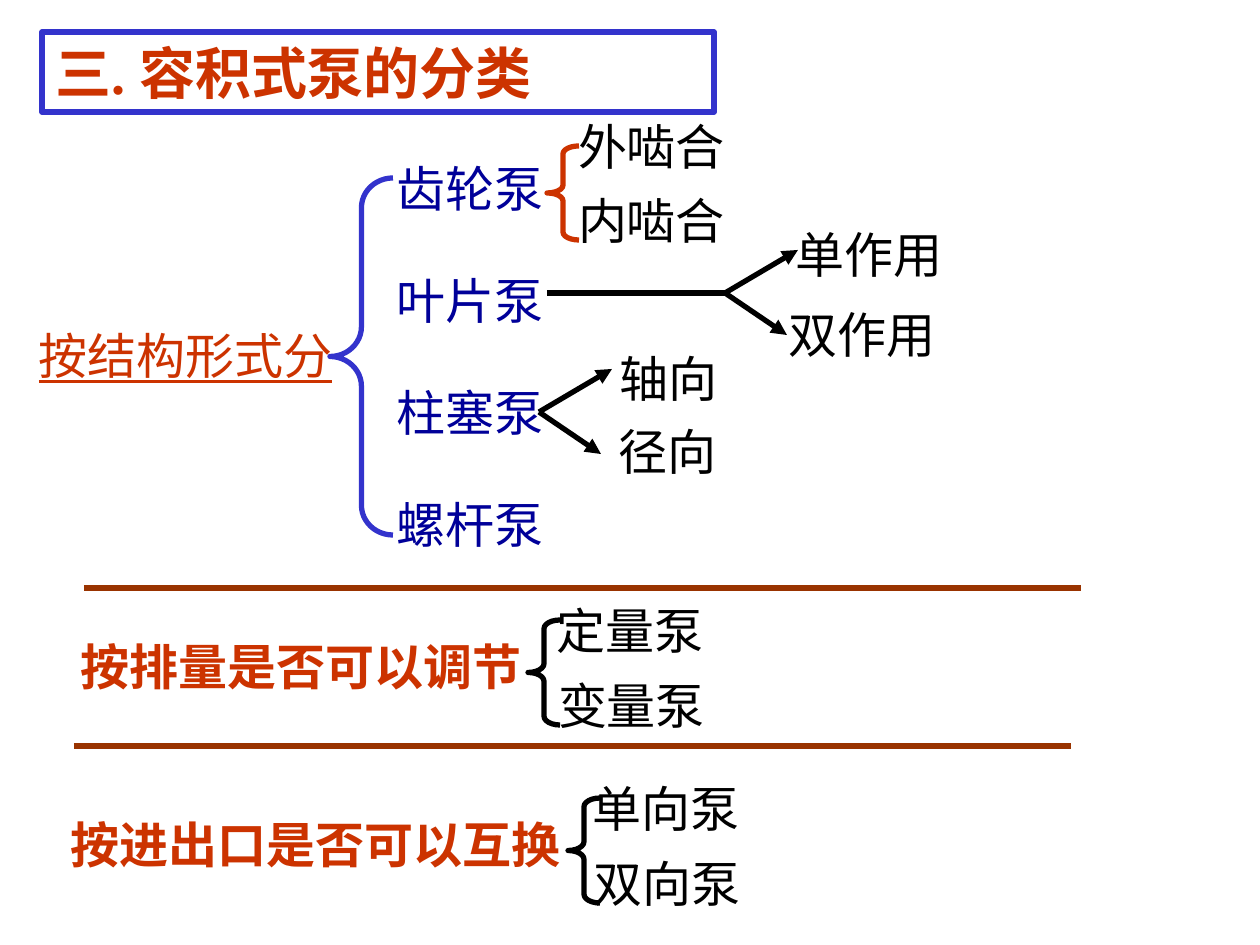
from dataclasses import dataclass

from lxml import etree
from pptx import Presentation
from pptx import util as u
from pptx.dml.color import RGBColor
from pptx.enum import shapes, text
from pptx.oxml.ns import qn

SCALE = 914400 / 126  # EMU in one px
CHAR_W, LINE_H = 49, 59  # one 28 pt character, one line


@dataclass(frozen=True)
class Theme:
    red: str = "CC3300"
    blue: str = "3333CC"
    navy: str = "000099"
    black: str = "000000"
    brown: str = "993300"
    title: int = 32
    body: int = 28
    line: int = 3
    latin: str = "Times New Roman"
    cjk: str = "Noto Sans CJK SC"


T = Theme()


def px(*values):
    return [u.Emu(round(v * SCALE)) for v in values]


def rgb(color):
    return RGBColor.from_string(color)


def write(sp, content, size=T.body, color=T.black, font=T.cjk,
          bold=False, underline=False, margins=(0, 0)):
    tf = sp.text_frame
    tf.word_wrap = False
    tf.auto_size = text.MSO_AUTO_SIZE.NONE
    tf.vertical_anchor = text.MSO_ANCHOR.MIDDLE
    tf.margin_left = tf.margin_right = px(margins[0])[0]
    tf.margin_top = tf.margin_bottom = px(margins[1])[0]
    p = tf.paragraphs[0]
    p.alignment = text.PP_ALIGN.LEFT
    r = p.add_run()
    r.text = content
    r.font.size, r.font.name = u.Pt(size), font
    r.font.bold, r.font.underline = bold, underline
    r.font.color.rgb = rgb(color)
    ea = etree.Element(qn("a:ea"), typeface=T.cjk)
    r.font._element.find(qn("a:latin")).addnext(ea)


def label(s, x, y, content, **fmt):
    box = px(x, y, CHAR_W * len(content), LINE_H)
    write(s.shapes.add_textbox(*box), content, **fmt)


def outline(s, kind, box, color):
    sp = s.shapes.add_shape(kind, *px(*box))
    sp.shadow.inherit = False
    sp.fill.background()
    sp.line.color.rgb = rgb(color)
    sp.line.width = u.Pt(T.line)
    return sp


def brace(s, x, y, w, h, color):
    """Left brace whose curves each take a twelfth of its height."""
    sp = outline(s, shapes.MSO_SHAPE.LEFT_BRACE, (x, y, w, h), color)
    sp.adjustments[0] = h / 12 / w


def line(s, x1, y1, x2, y2, color=T.black, arrow=False):
    c = s.shapes.add_connector(shapes.MSO_CONNECTOR.STRAIGHT, *px(x1, y1, x2, y2))
    c.line.color.rgb = rgb(color)
    c.line.width = u.Pt(T.line)
    if arrow:
        etree.SubElement(c.line._get_or_add_ln(), qn("a:tailEnd"), type="triangle")
    etree.SubElement(c._element.spPr, qn("a:effectLst"))


def fork(s, x, y, upper, lower):
    """Two arrows from one point; each branch is (label, dx, dy)."""
    for (dx, dy), (name, lx, ly) in zip(((73, -43), (62, 42)), (upper, lower)):
        line(s, x, y, x + dx, y + dy, arrow=True)
        label(s, x + lx, y + ly, name)


def title(s, box, content):
    sp = outline(s, shapes.MSO_SHAPE.RECTANGLE, box, T.blue)
    write(sp, content, size=T.title, color=T.red, font=T.latin,
          bold=True, margins=(13, 6))


def structure_tree(s, x, y):
    label(s, x, y + 209, "按结构形式分", color=T.red, underline=True)
    brace(s, x + 291, y + 62, 63, 357, T.blue)
    for i, pump in enumerate(("齿轮泵", "叶片泵", "柱塞泵", "螺杆泵")):
        label(s, x + 358, y + 42 + 112 * i, pump, color=T.navy)

    brace(s, x + 508, y + 30, 32, 94, T.red)
    for i, gear in enumerate(("外啮合", "内啮合")):
        label(s, x + 539, y + 74 * i, gear)

    line(s, x + 508, y + 177, x + 686, y + 177)
    fork(s, x + 686, y + 177, ("单作用", 71, -69), ("双作用", 64, 11))
    fork(s, x + 500, y + 296, ("轴向", 81, -64), ("径向", 80, 9))


def two_way_section(s, x, y, brace_dx, option_dx, heading, options):
    label(s, x, y + 36, heading, color=T.red, bold=True)
    brace(s, x + brace_dx, y + 20, 32, 105, T.black)
    for i, option in enumerate(options):
        label(s, x + option_dx + i, y + 75 * i, option)


def main():
    prs = Presentation()
    prs.slide_width, prs.slide_height = px(1260, 945)
    s = prs.slides.add_slide(prs.slide_layouts[6])
    title(s, (42, 32, 672, 80), "三. 容积式泵的分类")
    structure_tree(s, 39, 116)
    two_way_section(s, 81, 600, 447, 476, "按排量是否可以调节", ("定量泵", "变量泵"))
    two_way_section(s, 71, 778, 497, 522, "按进出口是否可以互换", ("单向泵", "双向泵"))
    for x, y in ((84, 588), (74, 746)):
        line(s, x, y, x + 997, y, T.brown)
    prs.save("out.pptx")


if __name__ == "__main__":
    main()
